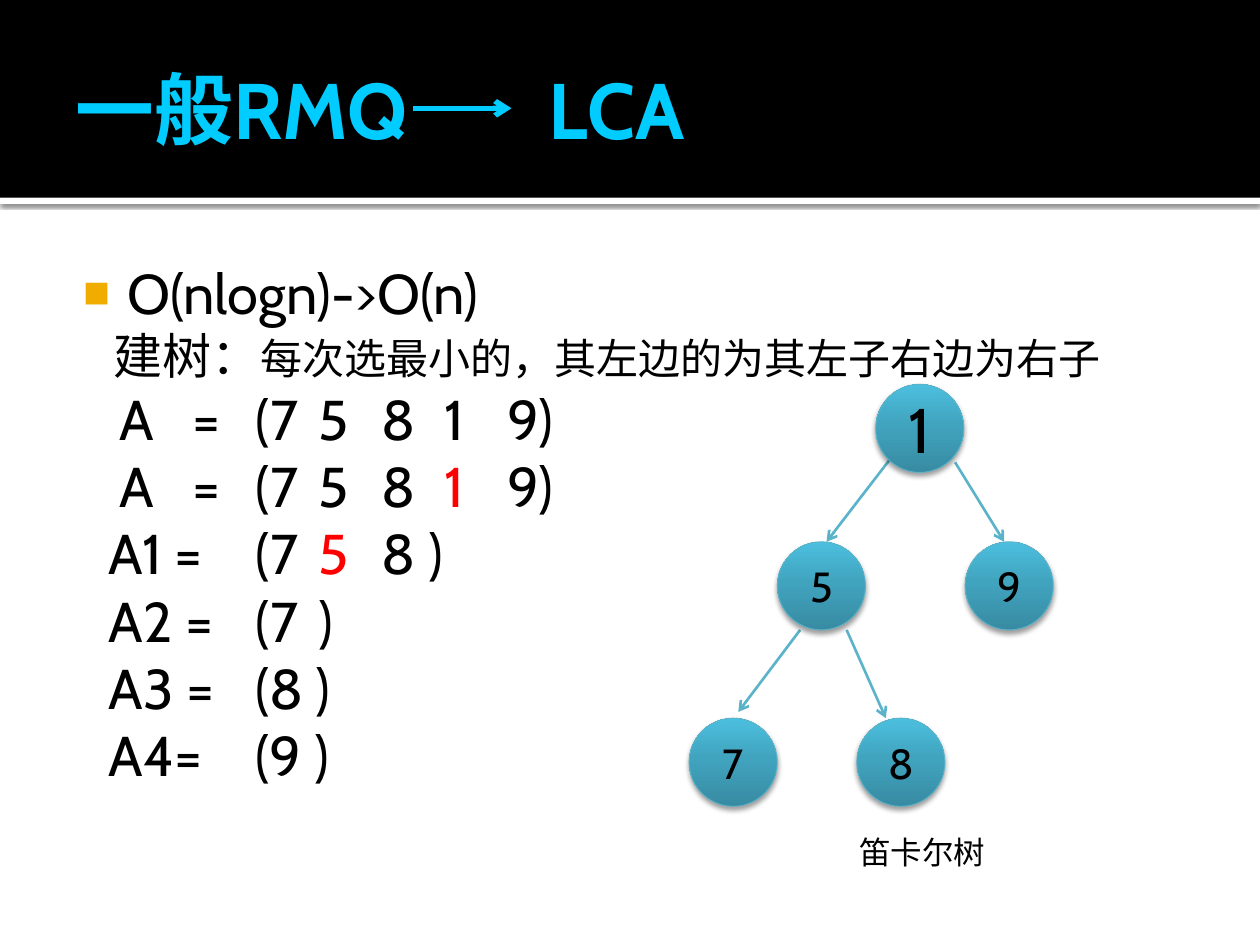
from copy import deepcopy
from dataclasses import dataclass
from typing import Optional

from lxml.etree import SubElement
from pptx import Presentation
from pptx.dml.color import RGBColor
from pptx.enum.shapes import MSO_CONNECTOR as Connector, MSO_SHAPE as Shape
from pptx.enum.text import MSO_ANCHOR as Anchor, MSO_AUTO_SIZE as AutoSize, PP_ALIGN as Align
from pptx.oxml.ns import qn
from pptx.util import Pt


@dataclass(frozen=True)
class Theme:
    font: str = "Cabin"
    ink: str = "000000"
    paper: str = "FFFFFF"
    title: str = "00CCFF"
    bullet: str = "F0AD00"
    pick: str = "FF0000"
    edge: str = "5BB3CA"
    node_stops: tuple = ((0, "378BA2"), (0.55, "41A4BF"), (1, "4BBFDE"))
    title_size: float = 45
    body_size: float = 32
    step_size: float = 28
    detail_size: float = 24
    root_size: float = 36
    caption_size: float = 18


@dataclass(frozen=True)
class Segment:
    text: str
    size: float
    color: str


@dataclass(frozen=True)
class Row:
    segments: tuple
    indent: float
    tabs: tuple = ()


@dataclass(frozen=True)
class Node:
    label: str
    left: float
    top: float
    size: float


@dataclass(frozen=True)
class Arrow:
    start: tuple
    end: tuple
    color: str
    weight: float


@dataclass(frozen=True)
class Shadow:
    alpha: int
    blur: float
    distance: float


THEME = Theme()
DIAMETER = 50.4
BAND_HEIGHT = 113
LEVELS = (219.6, 309.6, 410.4)


def plain(text: str, size: float = THEME.body_size) -> Segment:
    return Segment(text, size, THEME.ink)


def picked(text: str) -> Segment:
    return Segment(text, THEME.body_size, THEME.pick)


FULL_TABS = (62.5, 99.5, 162, 215, 269.5, 310)
LEFT_TABS = tuple(stop - 3 for stop in FULL_TABS[1:])

ROWS = (
    Row((plain("建树：", THEME.step_size),
         plain("每次选最小的，其左边的为其左子右边为右子", THEME.detail_size)), 27),
    Row((plain("A\t=\t(7\t5\t8\t1\t9)"),), 30, FULL_TABS),
    Row((plain("A\t=\t(7\t5\t8\t"), picked("1"), plain("\t9)")), 30, FULL_TABS),
    Row((plain("A1 =\t(7\t"), picked("5"), plain("\t8 )")), 24, LEFT_TABS),
    Row((plain("A2 =\t(7\t)"),), 24, (102.5, 143)),
    Row((plain("A3 =\t(8 )"),), 24, (102.5,)),
    Row((plain("A4=\t(9 )"),), 24, LEFT_TABS),
)

NODES = (
    Node("1", 500.4, LEVELS[0], THEME.root_size),
    Node("5", 444.2, LEVELS[1], THEME.detail_size),
    Node("9", 551.5, LEVELS[1], THEME.detail_size),
    Node("7", 393.8, LEVELS[2], THEME.detail_size),
    Node("8", 489.6, LEVELS[2], THEME.detail_size),
)

ARROWS = (
    Arrow((236.2, 61.9), (292.3, 61.9), THEME.title, 3),
    Arrow((508.3, 262.8), (472.3, 309.6), THEME.edge, 1.5),
    Arrow((545.8, 264.2), (573.8, 309.6), THEME.edge, 1.5),
    Arrow((457.2, 360), (421.9, 406.8), THEME.edge, 1.5),
    Arrow((483.8, 360), (506.2, 410.4), THEME.edge, 1.5),
)


def rgb(value: str) -> RGBColor:
    return RGBColor.from_string(value)


def style(run, size: float, color: str, bold: bool = False) -> None:
    font = run.font
    font.name, font.size, font.bold = THEME.font, Pt(size), bold
    font.color.rgb = rgb(color)


def place(shape, left: float, top: float, width: float, height: float) -> None:
    shape.left, shape.top, shape.width, shape.height = map(Pt, (left, top, width, height))


def set_insets(frame, left: float, top: float, right: float, bottom: float) -> None:
    frame.margin_left, frame.margin_top = Pt(left), Pt(top)
    frame.margin_right, frame.margin_bottom = Pt(right), Pt(bottom)


def set_indent(paragraph, left: float, first: float) -> None:
    properties = paragraph._p.get_or_add_pPr()
    properties.set("marL", str(Pt(left)))
    properties.set("indent", str(Pt(first)))


def add_tabs(paragraph, stops: tuple) -> None:
    tab_list = SubElement(paragraph._p.get_or_add_pPr(), qn("a:tabLst"))
    for stop in stops:
        SubElement(tab_list, qn("a:tab"), pos=str(Pt(stop)), algn="l")


def add_shadow(shape, shadow: Shadow) -> None:
    effects = shape._element.spPr.find(qn("a:effectLst"))
    outer = SubElement(effects, qn("a:outerShdw"), blurRad=str(Pt(shadow.blur)),
                       dist=str(Pt(shadow.distance)), dir="5400000", rotWithShape="0")
    color = SubElement(outer, qn("a:srgbClr"), val=THEME.ink)
    SubElement(color, qn("a:alpha"), val=str(shadow.alpha * 1000))


def add_band(slide, top: float, height: float, color: str, layer: int,
             shadow: Optional[Shadow] = None) -> None:
    band = slide.shapes.add_shape(Shape.RECTANGLE, 0, Pt(top), Pt(720), Pt(height))
    band.shadow.inherit = False
    band.fill.solid()
    band.fill.fore_color.rgb = rgb(color)
    band.line.fill.background()
    if shadow:
        add_shadow(band, shadow)
    slide.shapes._spTree.insert(2 + layer, band._element)


def fill_title(title) -> None:
    place(title, 36, 12.2, 648, 98.6)
    frame = title.text_frame
    frame.text = "一般RMQ\tLCA"
    frame.auto_size, frame.vertical_anchor = AutoSize.NONE, Anchor.MIDDLE
    set_insets(frame, 7.2, 3.6, 3.6, 3.6)
    heading = frame.paragraphs[0]
    heading.alignment = Align.LEFT
    add_tabs(heading, (270.5,))
    style(heading.runs[0], THEME.title_size, THEME.title, True)


def fill_body(body) -> None:
    place(body, 33.8, 140.4, 648, 364.3)
    frame = body.text_frame
    frame.text = "O(nlogn)->O(n)"
    frame.auto_size, frame.vertical_anchor = AutoSize.NONE, Anchor.TOP
    set_insets(frame, 4.3, 7.2, 7.2, 3.6)
    complexity = frame.paragraphs[0]
    complexity.space_before = Pt(0)
    set_indent(complexity, 34.6, -25.2)
    properties = complexity._p.get_or_add_pPr()
    SubElement(SubElement(properties, qn("a:buClr")), qn("a:srgbClr"), val=THEME.bullet)
    SubElement(properties, qn("a:buSzPct"), val="80000")
    SubElement(properties, qn("a:buChar"), char="■")
    style(complexity.runs[0], THEME.body_size, THEME.ink)
    for row in ROWS:
        add_row(frame, row)


def add_row(frame, row: Row) -> None:
    paragraph = frame.add_paragraph()
    paragraph.space_before = Pt(0)
    set_indent(paragraph, 0, row.indent)
    SubElement(paragraph._p.get_or_add_pPr(), qn("a:buNone"))
    add_tabs(paragraph, row.tabs)
    for segment in row.segments:
        run = paragraph.add_run()
        run.text = segment.text
        style(run, segment.size, segment.color)


def add_node(slide, node: Node) -> None:
    circle = slide.shapes.add_shape(Shape.OVAL, *map(Pt, (node.left, node.top, DIAMETER, DIAMETER)))
    circle.shadow.inherit = False
    add_shadow(circle, Shadow(38, 3.1, 2))
    circle.fill.gradient()
    circle.fill.gradient_angle = 90
    stop_list = circle._element.spPr.find(".//" + qn("a:gsLst"))
    stop_list.append(deepcopy(stop_list[-1]))
    for stop, (position, color) in zip(circle.fill.gradient_stops, THEME.node_stops):
        stop.position, stop.color.rgb = position, rgb(color)
    circle.line.color.rgb, circle.line.width = rgb(THEME.edge), Pt(0.5)
    frame = circle.text_frame
    frame.text = node.label
    frame.vertical_anchor = Anchor.MIDDLE
    frame.paragraphs[0].alignment = Align.CENTER
    style(frame.paragraphs[0].runs[0], node.size, THEME.ink)


def add_arrow(slide, arrow: Arrow) -> None:
    link = slide.shapes.add_connector(Connector.STRAIGHT, *map(Pt, arrow.start + arrow.end))
    link.line.color.rgb, link.line.width = rgb(arrow.color), Pt(arrow.weight)
    SubElement(link._element.spPr.find(qn("a:ln")), qn("a:tailEnd"), type="arrow")
    SubElement(link._element.spPr, qn("a:effectLst"))


def add_caption(slide) -> None:
    caption = slide.shapes.add_textbox(*map(Pt, (483.8, 472.3, 87.1, 28.8)))
    frame = caption.text_frame
    frame.text = "笛卡尔树"
    frame.word_wrap = False
    style(frame.paragraphs[0].runs[0], THEME.caption_size, THEME.ink)


def main() -> None:
    deck = Presentation()
    deck.slide_width, deck.slide_height = Pt(720), Pt(540)
    slide = deck.slides.add_slide(deck.slide_layouts[1])
    add_band(slide, BAND_HEIGHT, 3.6, THEME.paper, 0, Shadow(60, 2.5, 0.8))
    add_band(slide, 0, BAND_HEIGHT, THEME.ink, 1)
    fill_title(slide.shapes.title)
    fill_body(slide.placeholders[1])
    for arrow in ARROWS:
        add_arrow(slide, arrow)
    for node in NODES:
        add_node(slide, node)
    add_caption(slide)
    deck.save("out.pptx")


if __name__ == "__main__":
    main()
